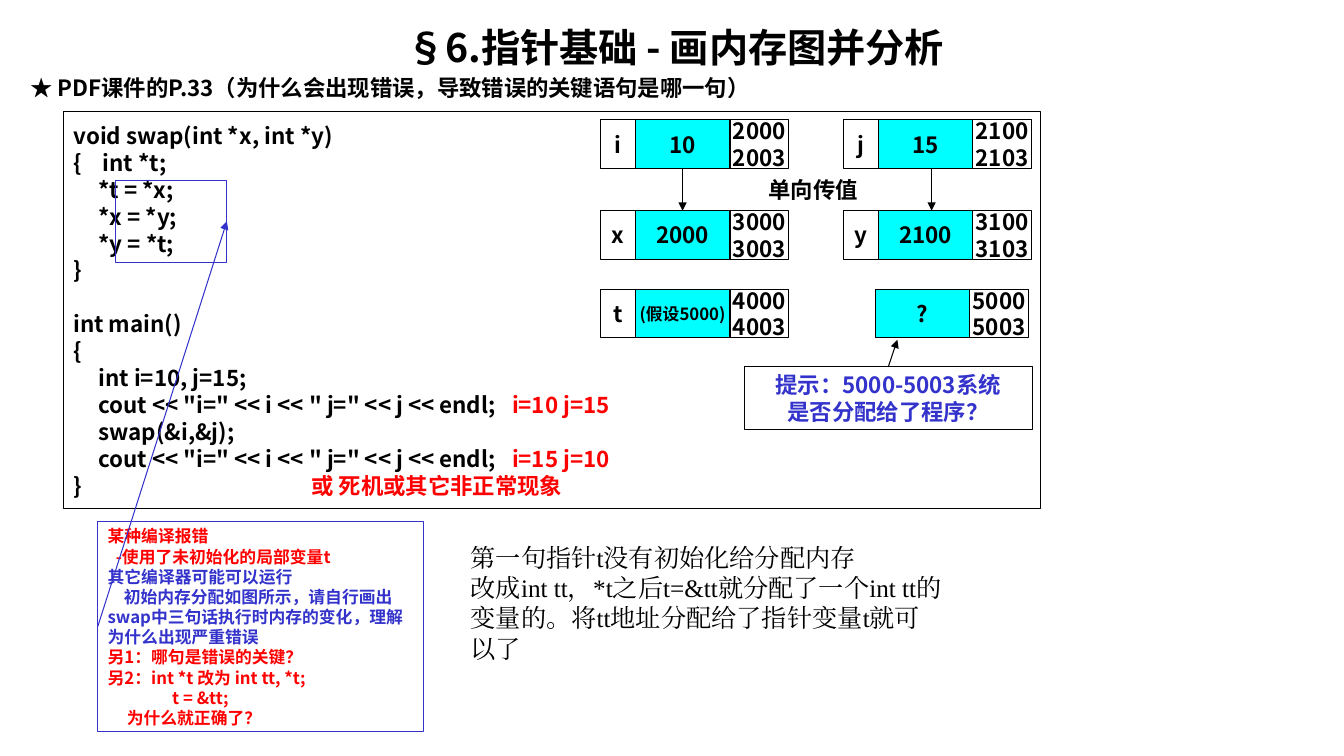
"""Build the slide on pointer basics with its memory diagram."""
from lxml.etree import SubElement
from pptx import Presentation
from pptx.dml.color import RGBColor
from pptx.enum.shapes import MSO_CONNECTOR, MSO_SHAPE
from pptx.enum.text import MSO_ANCHOR, MSO_AUTO_SIZE, PP_ALIGN
from pptx.oxml.ns import qn
from pptx.util import Inches, Pt

SANS, SERIF = "Noto Sans CJK SC", "Times New Roman"
COLORS = {"black": "000000", "red": "FF0000", "blue": "3333CC", "cyan": "00FFFF"}
TITLE = "§6.指针基础 - 画内存图并分析"
TOPIC = "★ PDF课件的P.33（为什么会出现错误，导致错误的关键语句是哪一句）"
PRINT = '\tcout << "i=" << i << " j=" << j << endl;'
STOPS = (0.25, 4.35)
CODE = [
    ("void swap(int *x, int *y)", "", ()),
    ("{\tint *t;", "", (0.29,)),
    ("\t*t = *x;", "", STOPS),
    ("\t*x = *y;", "", STOPS),
    ("\t*y = *t;", "", STOPS),
    ("}", "", ()),
    ("int main()", "", ()),
    ("{", "", ()),
    ("\tint i=10, j=15;", "", STOPS),
    (PRINT, "\ti=10 j=15", STOPS),
    ("\tswap(&i,&j);", "", STOPS),
    (PRINT, "\ti=15 j=10", STOPS),
    ("}", "\t或 死机或其它非正常现象", (2.36,)),
]
NOTES = [
    ("某种编译报错", "red", 0, 0),
    ("-使用了未初始化的局部变量t", "red", 0.08, 0),
    ("其它编译器可能可以运行", "blue", 0, 0),
    ("初始内存分配如图所示，请自行画出swap中三句话执行时内存的变化，理解为什么出现严重错误",
     "blue", 0, 0.16),
    ("另1：哪句是错误的关键？", "red", 0, 0),
    ("另2：int *t 改为 int tt, *t;", "red", 0, 0),
    ("t = &tt;", "red", 0.64, 0),
    ("为什么就正确了？", "red", 0.19, 0),
]
HINT = ["提示：5000-5003系统", "是否分配给了程序？"]
ANSWER = ["第一句指针t没有初始化给分配内存",
          "改成int tt，*t之后t=&tt就分配了一个int tt的变量的。将tt地址分配给了指针变量t就可以了"]
MEMORY = [
    ("i", "10", 2000, 5.96, 1.19),
    ("j", "15", 2100, 8.37, 1.19),
    ("x", "2000", 3000, 5.96, 2.09),
    ("y", "2100", 3100, 8.37, 2.09),
    ("t", "(假设5000)", 4000, 5.96, 2.87),
    ("", "?", 5000, 8.34, 2.87),
]
NAME_W, VALUE_W, ADDR_W, CELL_H = 0.34, 0.94, 0.58, 0.48


def paint(color):
    return RGBColor.from_string(COLORS[color])


def write(para, text, size=16, color="black", font=SANS, bold=True):
    run = para.add_run()
    run.text = text
    run.font.size, run.font.bold, run.font.name = Pt(size), bold, font
    run.font.color.rgb = paint(color)
    SubElement(run.font._element, qn("a:ea")).set("typeface", font)


def lines(frame, count, align=PP_ALIGN.LEFT):
    """Return the frame's paragraphs, grown to the given count."""
    for _ in range(count - 1):
        frame.add_paragraph()
    for para in frame.paragraphs:
        para.alignment = align
    return frame.paragraphs


def box(slide, left, top, width, height, line="black", fill=None):
    rect = slide.shapes.add_shape(MSO_SHAPE.RECTANGLE, *map(Inches, (left, top, width, height)))
    rect.shadow.inherit = False
    if fill:
        rect.fill.solid()
        rect.fill.fore_color.rgb = paint(fill)
    else:
        rect.fill.background()
    rect.line.color.rgb = paint(line)
    rect.line.width = Pt(0.75)
    return rect


def label(shape, texts, size=16, color="black"):
    frame = shape.text_frame
    frame.word_wrap = False
    frame.vertical_anchor = MSO_ANCHOR.MIDDLE
    frame.margin_left = frame.margin_right = 0
    for para, text in zip(lines(frame, len(texts), PP_ALIGN.CENTER), texts):
        write(para, text, size, color)


def plain(slide, left, top, width, height):
    note = slide.shapes.add_textbox(*map(Inches, (left, top, width, height)))
    note.text_frame.word_wrap = True
    return note


def arrow(slide, start, end, color="black"):
    link = slide.shapes.add_connector(MSO_CONNECTOR.STRAIGHT, *map(Inches, start + end))
    link.line.color.rgb = paint(color)
    link.line.width = Pt(0.75)
    SubElement(link.line._get_or_add_ln(), qn("a:tailEnd")).set("type", "triangle")
    SubElement(link._element.spPr, qn("a:effectLst"))
    return link


def head(slide):
    title = slide.shapes.title
    title.left, title.top, title.width, title.height = map(Inches, (0.2, 0.18, 12.99, 0.57))
    frame = title.text_frame
    frame.auto_size = MSO_AUTO_SIZE.NONE
    frame.vertical_anchor = MSO_ANCHOR.TOP
    write(lines(frame, 1, PP_ALIGN.CENTER)[0], TITLE, 28)
    write(plain(slide, 0.2, 0.69, 12.99, 0.37).text_frame.paragraphs[0], TOPIC)


def listing(slide):
    frame = box(slide, 0.63, 1.11, 9.69, 3.94).text_frame
    frame.word_wrap = True
    frame.vertical_anchor = MSO_ANCHOR.MIDDLE
    for para, (code, result, stops) in zip(lines(frame, len(CODE)), CODE):
        if code == "int main()":
            para.space_before = Pt(19.3)
        if stops:
            tabs = SubElement(para._p.get_or_add_pPr(), qn("a:tabLst"))
            for stop in stops:
                SubElement(tabs, qn("a:tab"), pos=str(Inches(stop)), algn="l")
        write(para, code)
        if result:
            write(para, result, color="red")


def memory(slide):
    cells = {}
    for name, value, start, left, top in MEMORY:
        if name:
            label(box(slide, left, top, NAME_W, CELL_H), [name])
        cells[name] = box(slide, left + NAME_W, top, VALUE_W, CELL_H, fill="cyan")
        label(cells[name], [value], 12 if len(value) > 4 else 16)
        addr = box(slide, left + NAME_W + VALUE_W, top, ADDR_W, CELL_H)
        label(addr, [str(start), str(start + 3)])
    link = arrow(slide, (6.76, 1.67), (6.76, 2.09))
    link.begin_connect(cells["i"], 2)
    link.end_connect(cells["x"], 0)
    arrow(slide, (9.24, 1.67), (9.24, 2.09))
    label(plain(slide, 7.57, 1.67, 0.99, 0.42), ["单向传值"])
    hint = box(slide, 7.38, 3.64, 2.86, 0.62)
    label(hint, HINT, color="blue")
    arrow(slide, (8.81, 3.64), (8.9, 3.37)).begin_connect(hint, 0)


def remarks(slide):
    focus = box(slide, 1.15, 1.79, 1.1, 0.81, "blue")
    note = box(slide, 0.97, 5.17, 3.23, 2.09, "blue")
    frame = note.text_frame
    frame.word_wrap = True
    frame.vertical_anchor = MSO_ANCHOR.TOP
    for para, (text, color, left, first) in zip(lines(frame, len(NOTES)), NOTES):
        props = para._p.get_or_add_pPr()
        props.set("marL", str(Inches(left)))
        props.set("indent", str(Inches(first)))
        write(para, text, 12, color)
    link = arrow(slide, (0.97, 6.22), (2.25, 2.19), "blue")
    link.begin_connect(note, 1)
    link.end_connect(focus, 3)
    frame = plain(slide, 4.57, 5.33, 4.87, 1.31).text_frame
    for para, text in zip(lines(frame, len(ANSWER)), ANSWER):
        write(para, text, 18, font=SERIF, bold=False)


def main():
    deck = Presentation()
    deck.slide_width, deck.slide_height = Inches(13.33), Inches(7.5)
    slide = deck.slides.add_slide(deck.slide_layouts[5])
    for part in (head, listing, memory, remarks):
        part(slide)
    deck.save("out.pptx")


if __name__ == "__main__":
    main()
